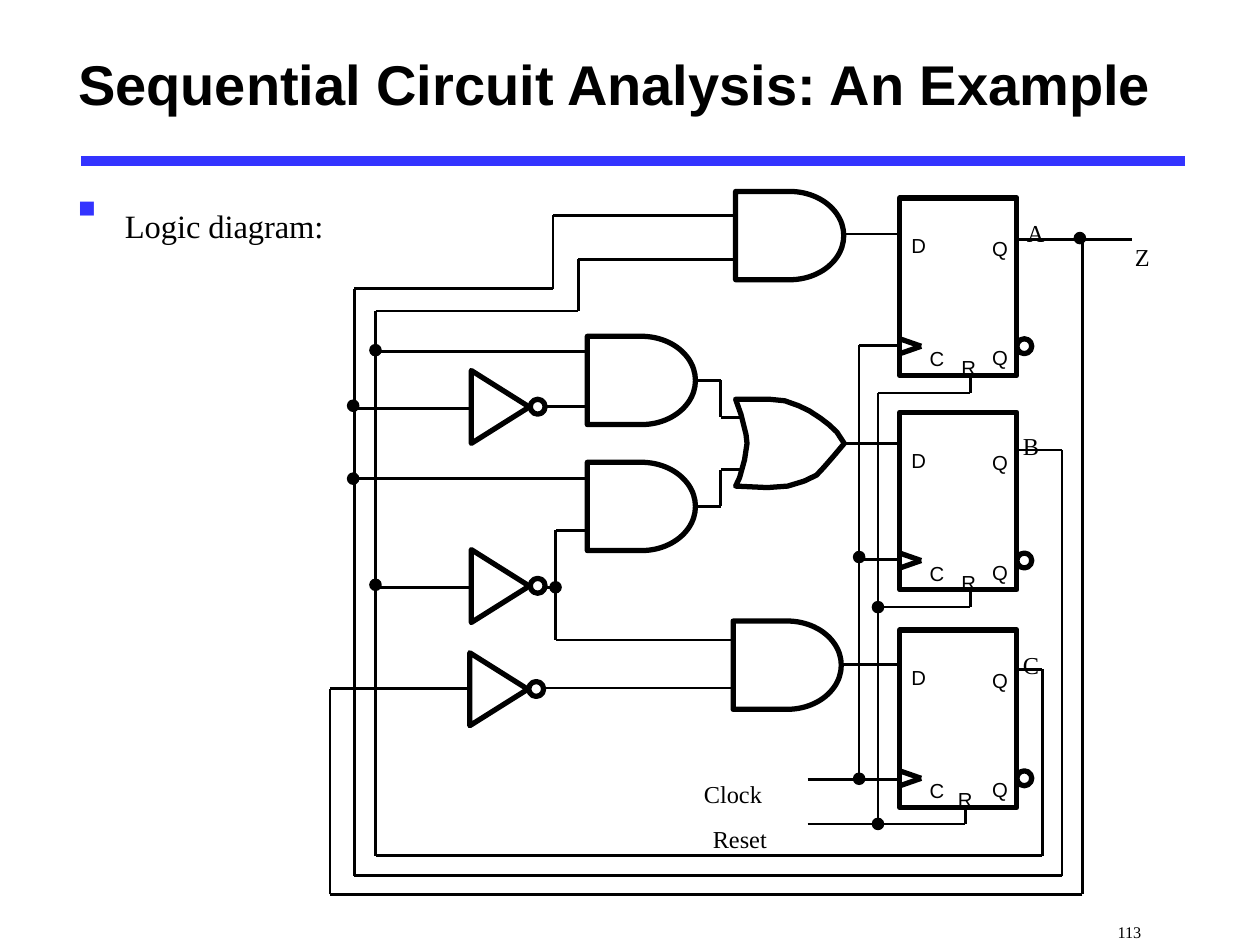
from pptx import Presentation
from pptx.dml.color import RGBColor
from pptx.enum.shapes import MSO_CONNECTOR, MSO_SHAPE
from pptx.enum.text import MSO_ANCHOR, MSO_AUTO_SIZE, PP_ALIGN
from pptx.oxml.ns import qn
from pptx.util import Cm, Pt
from lxml.etree import SubElement

BLACK, BLUE = "000000", "3333FF"


def style_shape(shape, width, filled=False):
    shape.shadow.inherit = False
    shape.line.color.rgb = RGBColor.from_string(BLACK)
    shape.line.width = Pt(width)
    if filled:
        shape.fill.solid()
        shape.fill.fore_color.rgb = RGBColor.from_string(BLACK)
    else:
        shape.fill.background()


def add_label(text, left, top, width, height, font_name, size):
    """Add a text box whose run is set as a subscript; return the box."""
    box = slide.shapes.add_textbox(Cm(left), Cm(top), Cm(width), Cm(height))
    box.text_frame.word_wrap = True
    paragraph = box.text_frame.paragraphs[0]
    run = paragraph.add_run()
    run.text = text
    run._r.get_or_add_rPr().set("baseline", "-25000")
    paragraph.font.name = font_name
    paragraph.font.size = Pt(size)
    paragraph.font.color.rgb = RGBColor.from_string(BLACK)
    return box


presentation = Presentation()
presentation.slide_width, presentation.slide_height = Cm(25.4), Cm(19.05)
slide = presentation.slides.add_slide(presentation.slide_layouts[5])

# Title, heading and page number
title = slide.shapes.title
title.left, title.top, title.width, title.height = Cm(1.32), Cm(0.25), Cm(22.63), Cm(2.84)
title.text_frame.text = "Sequential Circuit Analysis: An Example"
title.text_frame.vertical_anchor = MSO_ANCHOR.MIDDLE
paragraph = title.text_frame.paragraphs[0]
paragraph.alignment = PP_ALIGN.LEFT
paragraph.font.name, paragraph.font.size, paragraph.font.bold = "Arial", Pt(32), True
paragraph.font.color.rgb = RGBColor.from_string(BLACK)

add_label("113", 22.28, 18.08, 1.6, 0.97, "Times New Roman", 16)
heading = add_label("Logic diagram:", 1.32, 3.28, 21.59, 13.97, "Times New Roman", 32)
properties = heading.text_frame.paragraphs[0]._p.get_or_add_pPr()
properties.set("marL", str(Cm(0.95)))
properties.set("indent", str(Cm(-0.95)))
bullet_color = SubElement(properties, qn("a:buClr"))
SubElement(bullet_color, qn("a:srgbClr"), val=BLUE)
SubElement(properties, qn("a:buFont"), typeface="Arial")
SubElement(properties, qn("a:buChar"), char="▪")
default_font = properties.find(qn("a:defRPr"))
properties.append(default_font)  # the schema wants it after the bullet

# Flip-flops: top edge and left edge of the R label
flip_flops = [(3.99, 19.02), (8.31, 19.02), (12.7, 18.95)]

# Wires, each a run of corner points
wires = [
    # state A and output Z
    [(20.5, 4.83), (22.81, 4.83)],
    [(21.82, 4.83), (21.82, 18.03), (6.65, 18.03), (6.65, 13.88), (9.45, 13.88)],
    # state B
    [(20.5, 9.07), (21.41, 9.07), (21.41, 17.65), (7.14, 17.65),
     (7.14, 5.82), (11.15, 5.82), (11.15, 4.34), (14.83, 4.34)],
    [(7.14, 8.23), (9.45, 8.23)],
    [(7.14, 9.65), (11.84, 9.65)],
    # state C
    [(20.5, 13.49), (21.01, 13.49), (21.01, 17.25), (7.57, 17.25),
     (7.57, 6.27), (11.66, 6.27), (11.66, 5.23), (14.83, 5.23)],
    [(7.57, 7.09), (11.84, 7.09)],
    [(7.57, 11.84), (9.45, 11.84)],
    # inverter outputs
    [(11, 8.2), (11.84, 8.2)],
    [(11, 11.84), (11.2, 11.84)],
    [(11.84, 10.69), (11.2, 10.69), (11.2, 12.9), (14.78, 12.9)],
    [(11, 13.87), (14.78, 13.87)],
    # OR inputs
    [(14.02, 7.67), (14.53, 7.67), (14.53, 8.41), (14.96, 8.41)],
    [(14.02, 10.21), (14.53, 10.21), (14.53, 9.47), (14.96, 9.47)],
    # D inputs
    [(16.99, 4.72), (18.14, 4.72)],
    [(16.99, 8.94), (18.14, 8.94)],
    [(16.99, 13.39), (18.14, 13.39)],
    # clock
    [(16.28, 15.72), (18.14, 15.72)],
    [(17.32, 15.72), (17.32, 6.96), (18.14, 6.96)],
    [(17.32, 11.28), (18.14, 11.28)],
    # reset
    [(16.28, 16.61), (19.46, 16.61), (19.46, 16.31)],
    [(17.7, 16.61), (17.7, 7.92), (19.56, 7.92), (19.56, 7.59)],
    [(17.7, 12.24), (19.56, 12.24), (19.56, 11.91)],
]
lines = [(BLUE, 6, [(1.63, 3.25), (23.88, 3.25)])]
lines += [(BLACK, 1.5, wire) for wire in wires]
lines += [(BLACK, 3, [(18.14, top + 2.84), (18.57, top + 2.99), (18.14, top + 3.14)])
          for top, _ in flip_flops]
for color, width, points in lines:
    for (x1, y1), (x2, y2) in zip(points, points[1:]):
        connector = slide.shapes.add_connector(
            MSO_CONNECTOR.STRAIGHT, Cm(x1), Cm(y1), Cm(x2), Cm(y2))
        connector.line.color.rgb = RGBColor.from_string(color)
        connector.line.width = Pt(width)
        SubElement(connector._element.spPr, qn("a:effectLst"))

# Junction dots, by centre
junctions = [(7.12, 8.18), (7.12, 9.65), (7.57, 7.06), (7.57, 11.79), (11.2, 11.84),
             (17.32, 11.23), (17.32, 15.7), (17.7, 12.24), (17.7, 16.61), (21.77, 4.8)]
for x, y in junctions:
    dot = slide.shapes.add_shape(MSO_SHAPE.OVAL, Cm(x - 0.1), Cm(y - 0.1), Cm(0.2), Cm(0.2))
    style_shape(dot, 1.5, filled=True)

# Gates, inverters and flip-flop bodies
outlines = [(MSO_SHAPE.FLOWCHART_DELAY, left, top, 2.18, 1.78, 0) for left, top in
            [(14.83, 3.86), (11.84, 6.78), (11.84, 9.32), (14.78, 12.52)]]
for left, top in [(9.35, 7.62), (9.35, 11.23), (9.32, 13.31)]:
    outlines.append((MSO_SHAPE.ISOSCELES_TRIANGLE, left, top, 1.47, 1.17, 90))
    outlines.append((MSO_SHAPE.OVAL, left + 1.34, top + 0.43, 0.3, 0.3, 0))
for top, _ in flip_flops:
    outlines.append((MSO_SHAPE.RECTANGLE, 18.14, top, 2.36, 3.58, 0))
    outlines.append((MSO_SHAPE.OVAL, 20.5, top + 2.84, 0.3, 0.3, 0))
for kind, left, top, width, height, rotation in outlines:
    shape = slide.shapes.add_shape(kind, Cm(left), Cm(top), Cm(width), Cm(height))
    shape.rotation = rotation
    style_shape(shape, 3)

# OR gate, in hundredths of a centimetre
or_points = [
    (1483, 805), (1494, 836), (1504, 876), (1506, 894), (1501, 927), (1491, 963),
    (1483, 980), (1547, 983), (1588, 980), (1621, 970), (1646, 958), (1661, 942),
    (1681, 919), (1702, 894), (1687, 871), (1671, 856), (1654, 843), (1631, 828),
    (1610, 818), (1582, 808), (1552, 805)]
builder = slide.shapes.build_freeform(*or_points[0], scale=Cm(0.01))
builder.add_line_segments(or_points[1:], close=True)
style_shape(builder.convert_to_shape(), 3)

# Pin names
for top, reset_left in flip_flops:
    for name, left, offset in [("D", 18.01, 0.18), ("Q", 19.65, 0.23), ("Q", 19.65, 2.44),
                               ("C", 18.38, 2.46), ("R", reset_left, 2.64)]:
        pin = add_label(name, left, top + offset, 1.02, 1.09, "Arial", 20)
        pin.text_frame.word_wrap = False
        pin.text_frame.auto_size = MSO_AUTO_SIZE.SHAPE_TO_FIT_TEXT
        pin.text_frame.vertical_anchor = MSO_ANCHOR.MIDDLE
        pin.text_frame.paragraphs[0].alignment = PP_ALIGN.CENTER

# Signal names
for name, left, top, width in [
        ("Clock", 13.94, 15.01, 2.77), ("Reset", 14.12, 15.93, 2.77), ("A", 20.45, 3.71, 1.32),
        ("B", 20.37, 8, 1.32), ("C", 20.37, 12.42, 1.32), ("Z", 22.63, 4.19, 1.32)]:
    signal = add_label(name, left, top, width, 1.27, "Times New Roman", 24)
    signal.text_frame.auto_size = MSO_AUTO_SIZE.SHAPE_TO_FIT_TEXT

presentation.save("out.pptx")
